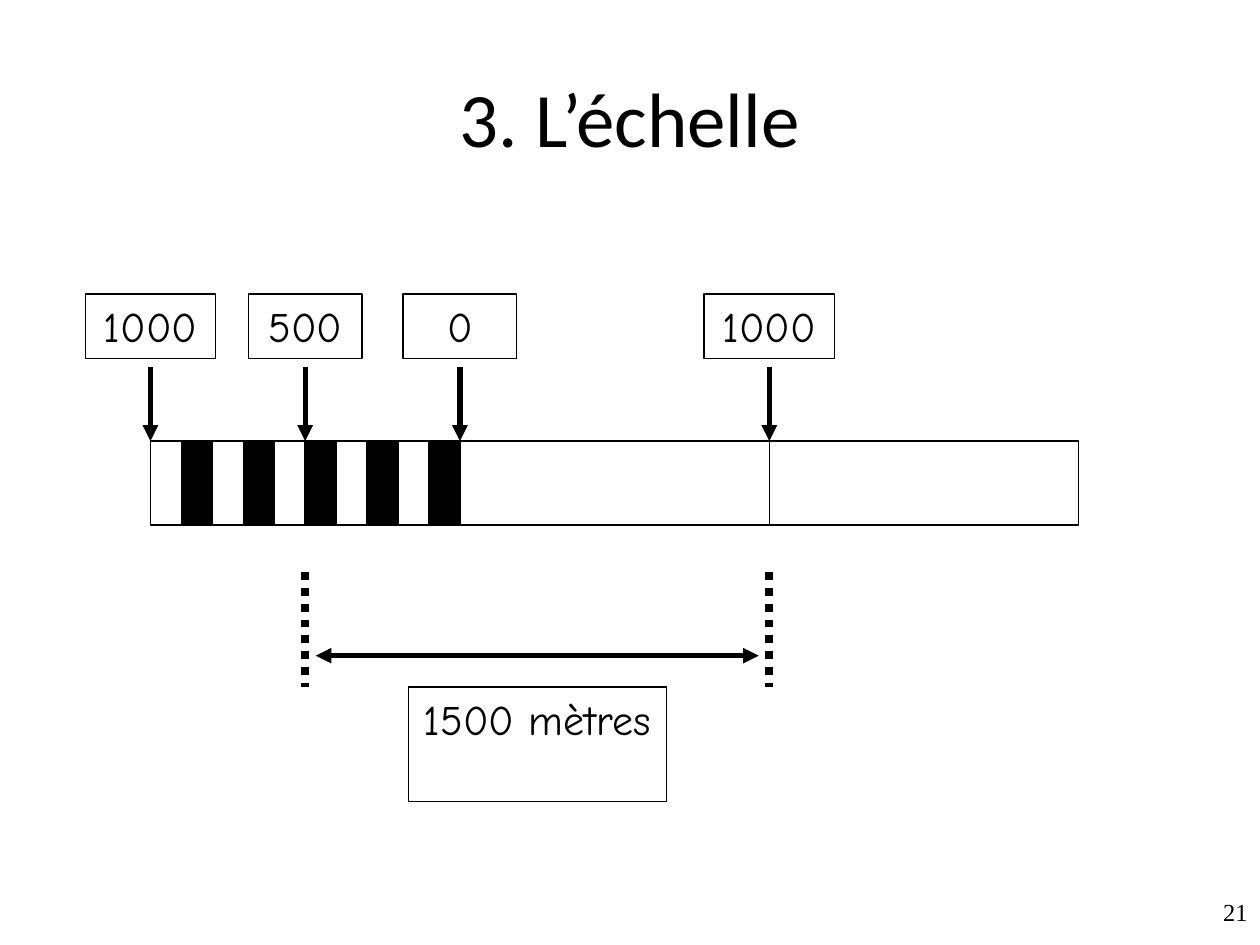
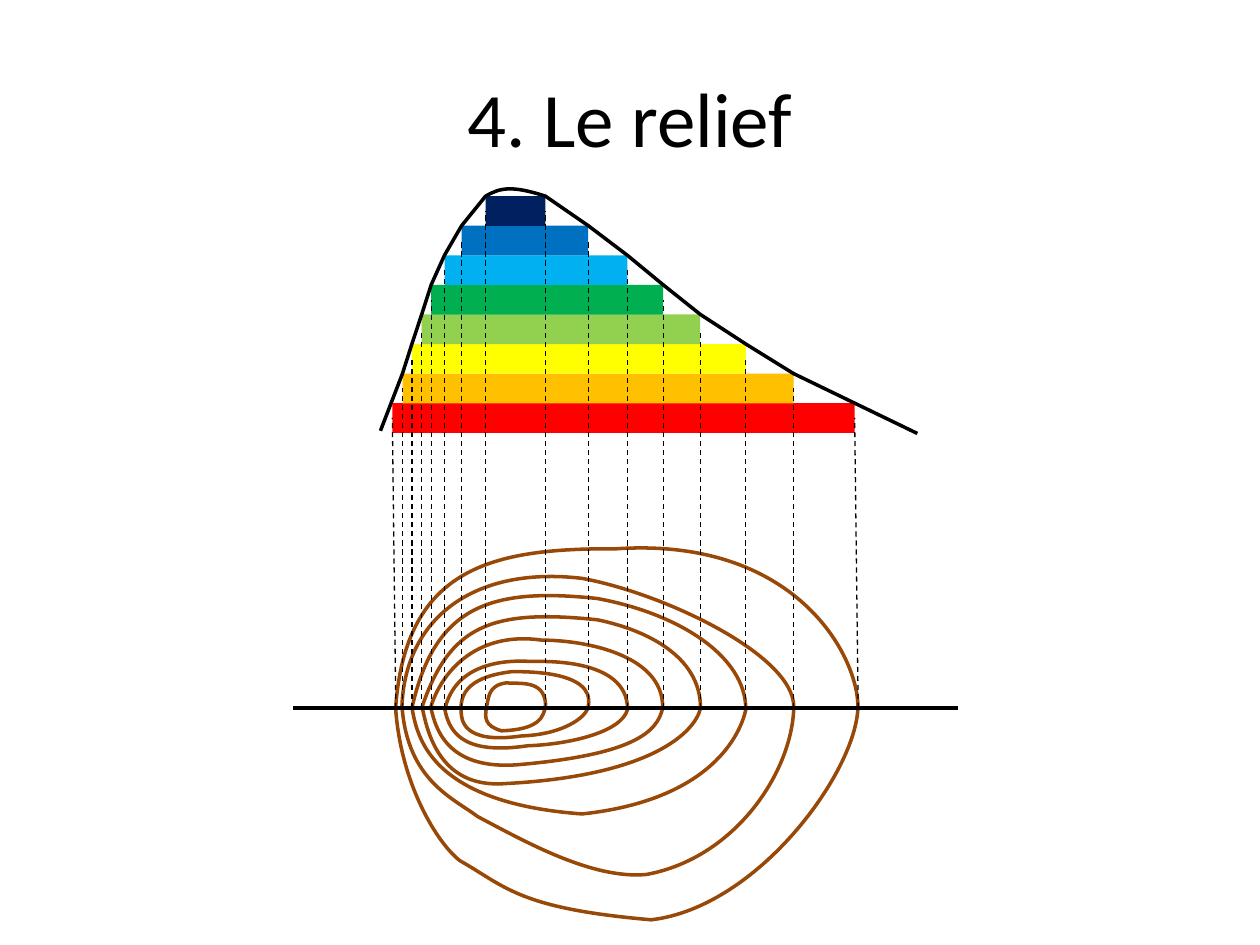
from lxml import etree
from pptx import Presentation
from pptx.dml.color import RGBColor
from pptx.enum import dml, shapes, text
from pptx.oxml import ns
from pptx.util import Pt

BLACK = RGBColor(0x00, 0x00, 0x00)
WHITE = RGBColor(0xFF, 0xFF, 0xFF)
BROWN = RGBColor(0x98, 0x48, 0x07)
RED = RGBColor(0xFF, 0x00, 0x00)
ORANGE = RGBColor(0xFF, 0xC0, 0x00)
YELLOW = RGBColor(0xFF, 0xFF, 0x00)
LIME = RGBColor(0x92, 0xD0, 0x50)
GREEN = RGBColor(0x00, 0xB0, 0x50)
SKY = RGBColor(0x00, 0xB0, 0xF0)
BLUE = RGBColor(0x00, 0x70, 0xC0)
NAVY = RGBColor(0x00, 0x20, 0x60)


def write_text(box, words, font, size, align, anchor=text.MSO_ANCHOR.TOP, wrap=True):
    frame = box.text_frame
    frame.text = words
    frame.word_wrap = wrap
    frame.vertical_anchor = anchor
    para = frame.paragraphs[0]
    para.alignment = align
    para.font.name = font
    para.font.size = Pt(size)
    para.font.color.rgb = BLACK


def draw_line(page, x1, y1, x2, y2, width, dash=None, arrows=()):
    line = page.shapes.add_connector(
        shapes.MSO_CONNECTOR.STRAIGHT, Pt(x1), Pt(y1), Pt(x2), Pt(y2))
    line.line.color.rgb = BLACK
    line.line.width = Pt(width)
    if dash:
        line.line.dash_style = dash
    properties = line.element.spPr
    for end in arrows:
        etree.SubElement(properties.find(ns.qn("a:ln")), ns.qn(end), type="triangle")
    etree.SubElement(properties, ns.qn("a:effectLst"))


deck = Presentation()
deck.slide_width = Pt(720)
deck.slide_height = Pt(540)
pages = []
for title in ("3. L’échelle", "4. Le relief"):
    page = deck.slides.add_slide(deck.slide_layouts[6])
    box = page.shapes.add_textbox(Pt(36), Pt(21.6), Pt(648), Pt(90))
    write_text(box, title, "Calibri", 44, text.PP_ALIGN.CENTER, text.MSO_ANCHOR.MIDDLE)
    pages.append(page)
scale_page, relief_page = pages

box = scale_page.shapes.add_textbox(Pt(552), Pt(509.3), Pt(168), Pt(30.7))
write_text(box, "21", "Times New Roman", 14, text.PP_ALIGN.RIGHT)

ZERO = 262.8
KILOMETRE = 176.8
STRIPE = KILOMETRE / 10
BAR_TOP = 252
LEFT_MARK = ZERO - KILOMETRE / 2
RIGHT_MARK = ZERO + KILOMETRE

bars = [(ZERO - KILOMETRE + i * STRIPE, STRIPE, BLACK if i % 2 else WHITE)
        for i in range(10)]
bars += [(ZERO + i * KILOMETRE, KILOMETRE, WHITE) for i in range(2)]
for left, width, color in bars:
    bar = scale_page.shapes.add_shape(
        shapes.MSO_SHAPE.RECTANGLE, Pt(left), Pt(BAR_TOP), Pt(width), Pt(48))
    bar.shadow.inherit = False
    bar.fill.solid()
    bar.fill.fore_color.rgb = color
    bar.line.color.rgb = BLACK
    bar.line.width = Pt(0.75)

labels = [
    ("1000", ZERO - KILOMETRE, 168, 74, 37),
    ("500", LEFT_MARK, 168, 65, 37),
    ("0", ZERO, 168, 65, 37),
    ("1000", RIGHT_MARK, 168, 74.5, 37),
    ("1500 mètres", 307, 392.6, 147.5, 65.4),
]
for words, center, top, width, height in labels:
    label = scale_page.shapes.add_shape(
        shapes.MSO_SHAPE.RECTANGLE, Pt(center - width / 2), Pt(top), Pt(width), Pt(height))
    label.shadow.inherit = False
    label.fill.background()
    label.line.color.rgb = BLACK
    label.line.width = Pt(0.75)
    write_text(label, words, "Comic Neue", 24, text.PP_ALIGN.CENTER, wrap=False)

for mark in (ZERO - KILOMETRE, LEFT_MARK, ZERO, RIGHT_MARK):
    draw_line(scale_page, mark, 210, mark, BAR_TOP, 3, arrows=["a:tailEnd"])
for mark in (LEFT_MARK, RIGHT_MARK):
    draw_line(scale_page, mark, 327, mark, 392.6, 4.5, dml.MSO_LINE.ROUND_DOT)
draw_line(scale_page, LEFT_MARK + 6, 374.7, RIGHT_MARK - 6, 374.7, 3,
          arrows=["a:headEnd", "a:tailEnd"])

SECTION = 404.6
STEP = 16.9
BASE_TOP = 230.4
layers = [
    (224.2, 488.4, RED), (230, 453.5, ORANGE), (235.4, 426.2, YELLOW),
    (241, 400.2, LIME), (246.4, 379, GREEN), (254, 358.5, SKY),
    (263.8, 336.2, BLUE), (277.5, 311.7, NAVY),
]
tops = [BASE_TOP - i * STEP for i in range(len(layers))]
for (left, right, color), top in zip(layers, tops):
    layer = relief_page.shapes.add_shape(
        shapes.MSO_SHAPE.RECTANGLE, Pt(left), Pt(top), Pt(right - left), Pt(17))
    layer.shadow.inherit = False
    layer.fill.solid()
    layer.fill.fore_color.rgb = color
    layer.line.fill.background()

contours = [
    [[(372.2, 525.6)], [(433.4, 518.4), (489.6, 440.6), (490.3, 403.9)],
     [(490.3, 374.4), (454.3, 306.7), (352.1, 313.6)],
     [(281.5, 313.2), (231.8, 324), (226.1, 404.6)],
     [(229, 447.8), (249.8, 481.7), (262.8, 491.8)],
     [(289.4, 506.9), (296.6, 519.1), (372.2, 525.6)]],
    [[(369.4, 499.7)], [(420.5, 490.3), (452.9, 440.6), (453.6, 403.9)],
     [(453.6, 374.4), (379.4, 339.1), (332.6, 330.5)],
     [(271.4, 323.3), (231.8, 352.8), (229.7, 403.2)],
     [(232.6, 446.4), (259.9, 456.5), (272.9, 466.6)],
     [(300.2, 481), (338.4, 502.6), (369.4, 499.7)]],
    [[(332.6, 465.1)], [(406.8, 457.2), (423.4, 419), (426.2, 405.4)],
     [(426.2, 375.1), (388.1, 350.6), (341.3, 342)],
     [(280.1, 335.5), (248.4, 346.3), (235.4, 404.6)],
     [(238.3, 419), (243.4, 458.6), (332.6, 465.1)]],
    [[(288.7, 447.8)], [(372.2, 443.5), (397.4, 418.3), (400.3, 404.6)],
     [(400.3, 375.1), (369.4, 360), (341.3, 354.2)],
     [(280.1, 347.8), (257, 357.8), (241.2, 403.9)],
     [(244.1, 418.3), (251.3, 450.7), (288.7, 447.8)]],
    [[(295.9, 437)], [(362.2, 431.3), (375.8, 418.3), (378.7, 404.6)],
     [(379.4, 374.4), (334.8, 365.8), (309.6, 365.8)],
     [(274.3, 360.7), (253.4, 381.6), (246.2, 403.9)],
     [(249.1, 419), (257.8, 439.9), (295.9, 437)]],
    [[(301.7, 426.2)], [(323.3, 425.5), (355, 419), (358.6, 405.4)],
     [(358.6, 375.8), (310.3, 378), (303.1, 378)],
     [(280.8, 376.6), (259.2, 383), (254.2, 405.4)],
     [(257, 420.5), (267.1, 431.3), (301.7, 426.2)]],
    [[(298.1, 420.5)], [(320.4, 419.8), (335.5, 410.4), (336.2, 403.2)],
     [(339.8, 383), (299.5, 383.8), (292.3, 383.8)],
     [(281.5, 385.2), (262.1, 388.8), (263.5, 406.1)],
     [(263.5, 411.1), (264.2, 425.5), (298.1, 420.5)]],
    [[(286.6, 417.6)], [(308.2, 416.9), (311, 409.7), (311.8, 402.5)],
     [(311, 388.1), (296.6, 391), (289.4, 390.2)],
     [(278.6, 391.7), (279.4, 398.9), (277.9, 404.6)],
     [(277.2, 409.7), (276.5, 414.7), (286.6, 417.6)]],
]
left_slope = [[(left, top)] for (left, _, _), top in zip(layers, tops)]
right_slope = [[(right, top)] for (_, right, _), top in zip(layers, tops)]
ridge = [[(217.4, 246.2)], *left_slope[1:],
         [(285.8, 107.3), (292.3, 105.8), right_slope[-1][0]],
         *reversed(right_slope[:-1]), [(524.2, 247.7)]]

for outline in contours + [ridge]:
    closed = outline is not ridge
    anchors = [(Pt(x), Pt(y)) for x, y in (segment[-1] for segment in outline)]
    builder = relief_page.shapes.build_freeform(*anchors[0])
    builder.add_line_segments(anchors[1:], close=closed)
    shape = builder.convert_to_shape()
    edges = list(shape.element.iter(ns.qn("a:lnTo")))
    for segment, edge in zip(outline[1:], edges):
        if len(segment) == 3:
            curve = etree.Element(ns.qn("a:cubicBezTo"))
            for x, y in segment:
                etree.SubElement(curve, ns.qn("a:pt"),
                                 x=str(Pt(x) - shape.left), y=str(Pt(y) - shape.top))
            edge.getparent().replace(edge, curve)
    shape.shadow.inherit = False
    shape.line.width = Pt(2)
    shape.line.color.rgb = BROWN if closed else BLACK
    if closed:
        shape.fill.solid()
        shape.fill.fore_color.rgb = WHITE
    else:
        shape.fill.background()

for (left, right, color), top in zip(layers, tops):
    lean = 2 if color == RED else 0
    for edge in (left, right):
        draw_line(relief_page, edge + lean, SECTION, edge, top + STEP / 2, 0.75,
                  dml.MSO_LINE.DASH)
draw_line(relief_page, 167.2, SECTION, 547.2, SECTION, 2.25)

deck.save("out.pptx")
